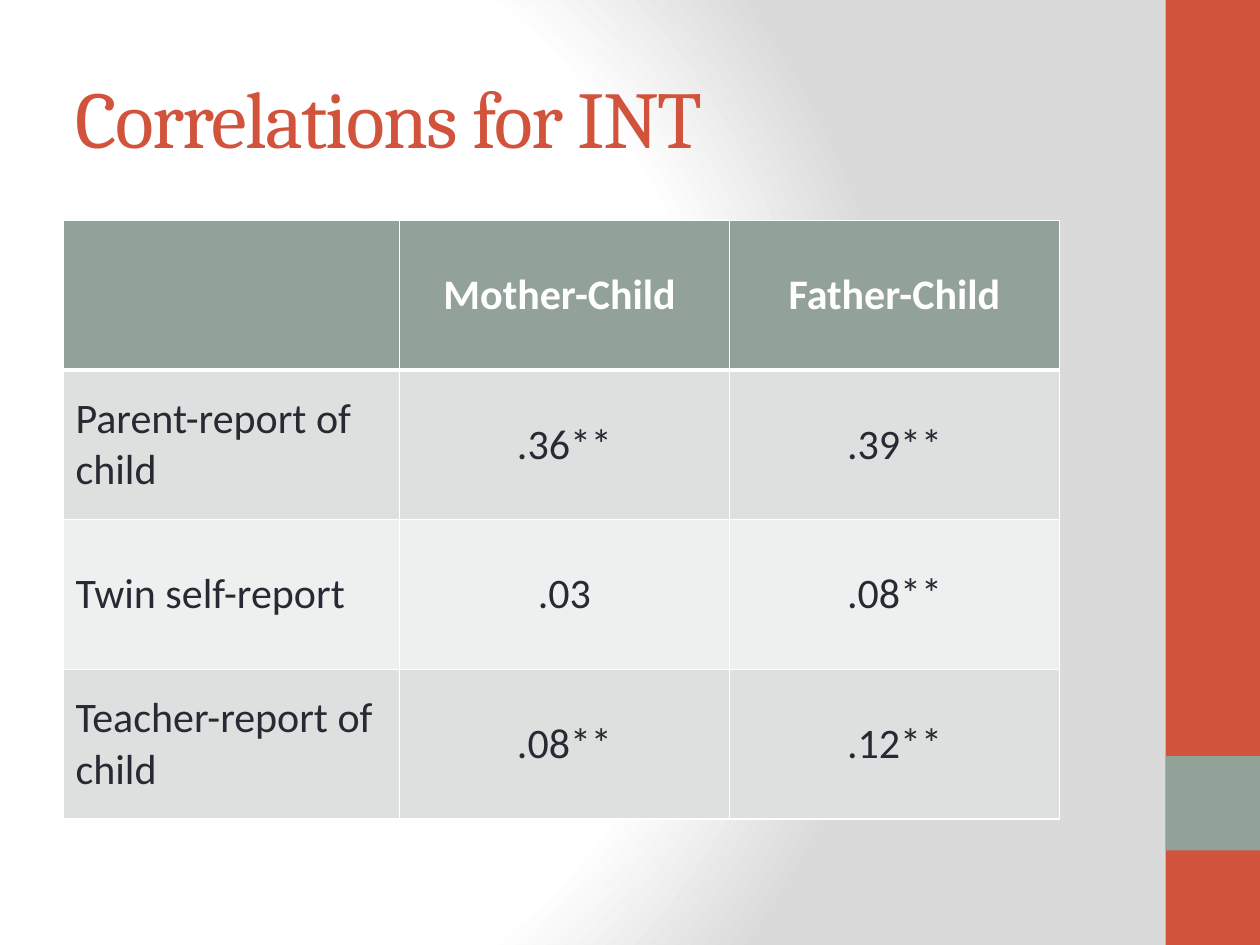
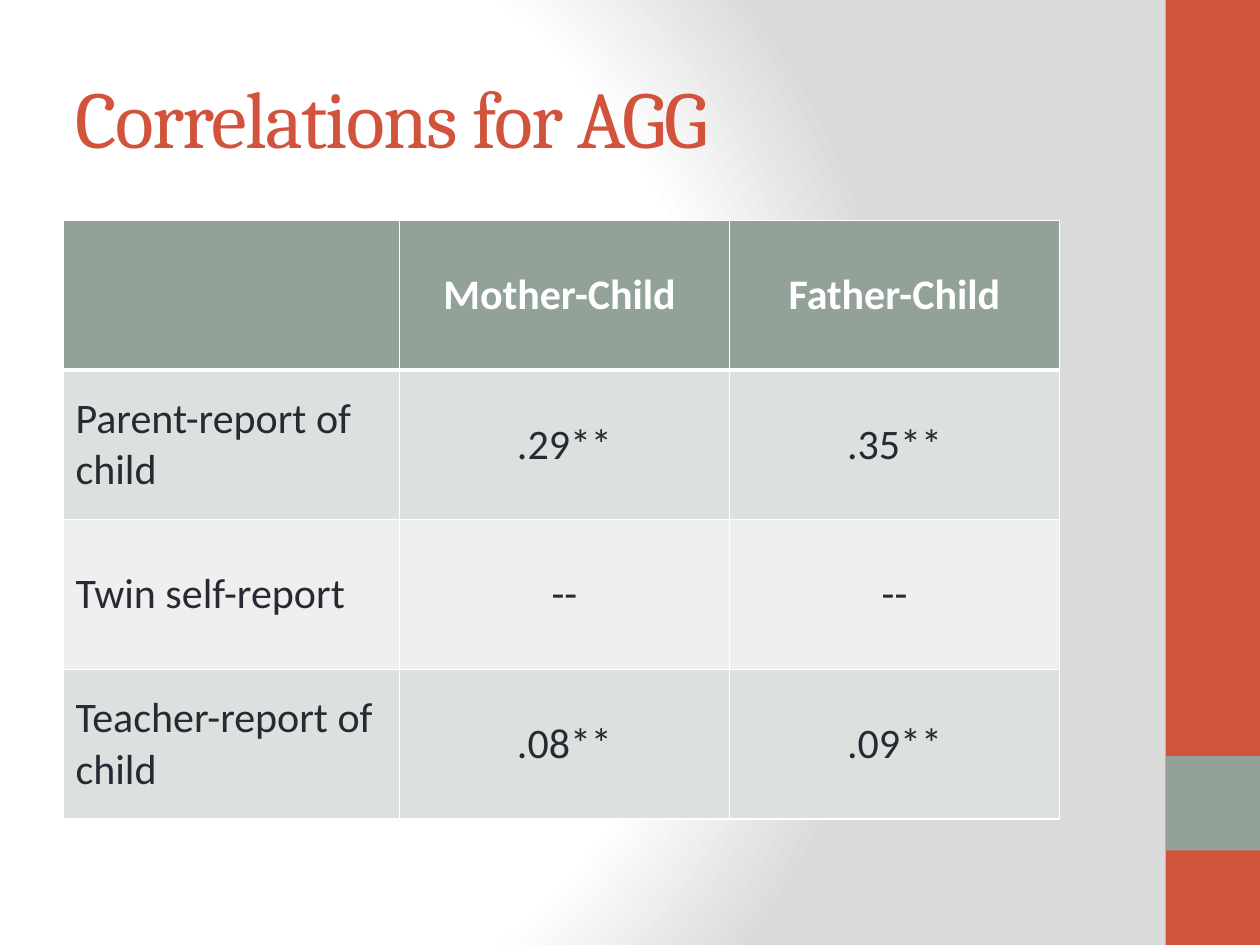
from lxml.etree import SubElement
from pptx import Presentation
from pptx.dml.color import RGBColor
from pptx.enum.shapes import MSO_SHAPE
from pptx.enum.text import MSO_ANCHOR, PP_ALIGN
from pptx.oxml import parse_xml
from pptx.oxml.ns import nsdecls, qn
from pptx.util import Inches, Pt

RUST = RGBColor(0xD2, 0x53, 0x3C)
SAGE = RGBColor(0x93, 0xA2, 0x99)
SAGE_TINT = RGBColor(0xDC, 0xE0, 0xDE)
SAGE_PALE = RGBColor(0xEE, 0xF0, 0xEF)
INK = RGBColor(0x29, 0x29, 0x34)
WHITE = RGBColor(0xFF, 0xFF, 0xFF)
SILVER = RGBColor(0xDA, 0xDA, 0xDA)

HEADERS = ["", "Mother-Child ", "Father-Child"]
REPORTS = ["Parent-report of child", "Twin self-report", "Teacher-report of child"]
CORRELATIONS = {
    "Correlations for INT": [(".36**", ".39**"), (".03", ".08**"), (".08**", ".12**")],
    "Correlations for AGG": [(".29**", ".35**"), ("--", "--"), (".08**", ".09**")],
}

BANDS = [(0, 7.5, RUST), (6, 0.75, SAGE)]
BAND_LEFT, BAND_WIDTH = 9.25, 0.75
TITLE_BOX = {"left": 0.5, "top": 0.3, "width": 8.33, "height": 1.25}
TABLE_BOX = (0.5, 1.75, 7.92, 4.75)
COLUMN_WIDTHS = [2.67, 2.62, 2.62]
BACKGROUND_STOPS = [(0, WHITE), (75, WHITE), (100, SILVER)]
BACKGROUND_FOCUS = {"l": 20, "t": 50, "r": 100, "b": 50}

TITLE_FONT = {"name": "Cambria", "size": Pt(46), "bold": False}
HEADER_FONT = {"name": "Calibri", "size": Pt(24), "bold": True}
BODY_FONT = {**HEADER_FONT, "bold": False}


def format_font(font, values, color):
    for name, value in values.items():
        setattr(font, name, value)
    font.color.rgb = color


def set_background(master):
    master.background.fill.solid()
    properties = master.element.find(".//" + qn("p:bgPr"))
    gradient = parse_xml(f'<a:gradFill {nsdecls("a")} rotWithShape="1"/>')
    stops = SubElement(gradient, qn("a:gsLst"))
    for position, color in BACKGROUND_STOPS:
        stop = SubElement(stops, qn("a:gs"), pos=str(position * 1000))
        SubElement(stop, qn("a:srgbClr"), val=str(color))
    circle = SubElement(gradient, qn("a:path"), attrib={"path": "circle"})
    focus = {side: str(percent * 1000) for side, percent in BACKGROUND_FOCUS.items()}
    SubElement(circle, qn("a:fillToRect"), attrib=focus)
    properties.replace(properties[0], gradient)


def move_bands_to_master(slide, master):
    for number, (top, height, color) in enumerate(BANDS):
        band = slide.shapes.add_shape(
            MSO_SHAPE.RECTANGLE, Inches(BAND_LEFT), Inches(top), Inches(BAND_WIDTH), Inches(height)
        )
        band.shadow.inherit = False
        band.fill.solid()
        band.fill.fore_color.rgb = color
        band.line.fill.background()
        band.element.nvSpPr.cNvPr.set("id", str(100 + number))
        master.shapes.element.append(band.element)


def add_title(slide, text):
    title = slide.shapes.title
    for name, length in TITLE_BOX.items():
        setattr(title, name, Inches(length))
    title.text_frame.text = text
    title.text_frame.vertical_anchor = MSO_ANCHOR.MIDDLE
    paragraph = title.text_frame.paragraphs[0]
    paragraph.alignment = PP_ALIGN.LEFT
    run = paragraph.runs[0]
    format_font(run.font, TITLE_FONT, RUST)
    run.font._element.set("spc", "-100")


def set_borders(cell, row_index):
    widths = {"L": 1, "R": 1, "T": 3 if row_index == 1 else 1, "B": 3 if row_index == 0 else 1}
    properties = cell._tc.get_or_add_tcPr()
    for side, width in widths.items():
        line = SubElement(properties, qn(f"a:ln{side}"), w=str(Pt(width)))
        fill = SubElement(line, qn("a:solidFill"))
        SubElement(fill, qn("a:srgbClr"), val=str(WHITE))


def format_cell(cell, text, row_index, column_index):
    is_header = row_index == 0
    set_borders(cell, row_index)
    cell.fill.solid()
    cell.fill.fore_color.rgb = SAGE if is_header else (SAGE_PALE, SAGE_TINT)[row_index % 2]
    cell.vertical_anchor = MSO_ANCHOR.MIDDLE
    cell.text = text
    paragraph = cell.text_frame.paragraphs[0]
    paragraph.alignment = PP_ALIGN.CENTER if column_index else PP_ALIGN.LEFT
    for run in paragraph.runs:
        format_font(run.font, HEADER_FONT if is_header else BODY_FONT, WHITE if is_header else INK)


def add_correlation_table(slide, correlations):
    rows = [HEADERS] + [[report, *values] for report, values in zip(REPORTS, correlations)]
    table = slide.shapes.add_table(len(rows), len(HEADERS), *map(Inches, TABLE_BOX)).table
    for column, width in zip(table.columns, COLUMN_WIDTHS):
        column.width = Inches(width)
    for row_index, row in enumerate(rows):
        for column_index, text in enumerate(row):
            format_cell(table.cell(row_index, column_index), text, row_index, column_index)


def main():
    presentation = Presentation()
    presentation.slide_width, presentation.slide_height = Inches(10), Inches(7.5)
    master = presentation.slide_master
    title_only = presentation.slide_layouts.get_by_name("Title Only")
    set_background(master)
    for title, correlations in CORRELATIONS.items():
        slide = presentation.slides.add_slide(title_only)
        add_title(slide, title)
        add_correlation_table(slide, correlations)
    move_bands_to_master(slide, master)
    presentation.save("out.pptx")


if __name__ == "__main__":
    main()
